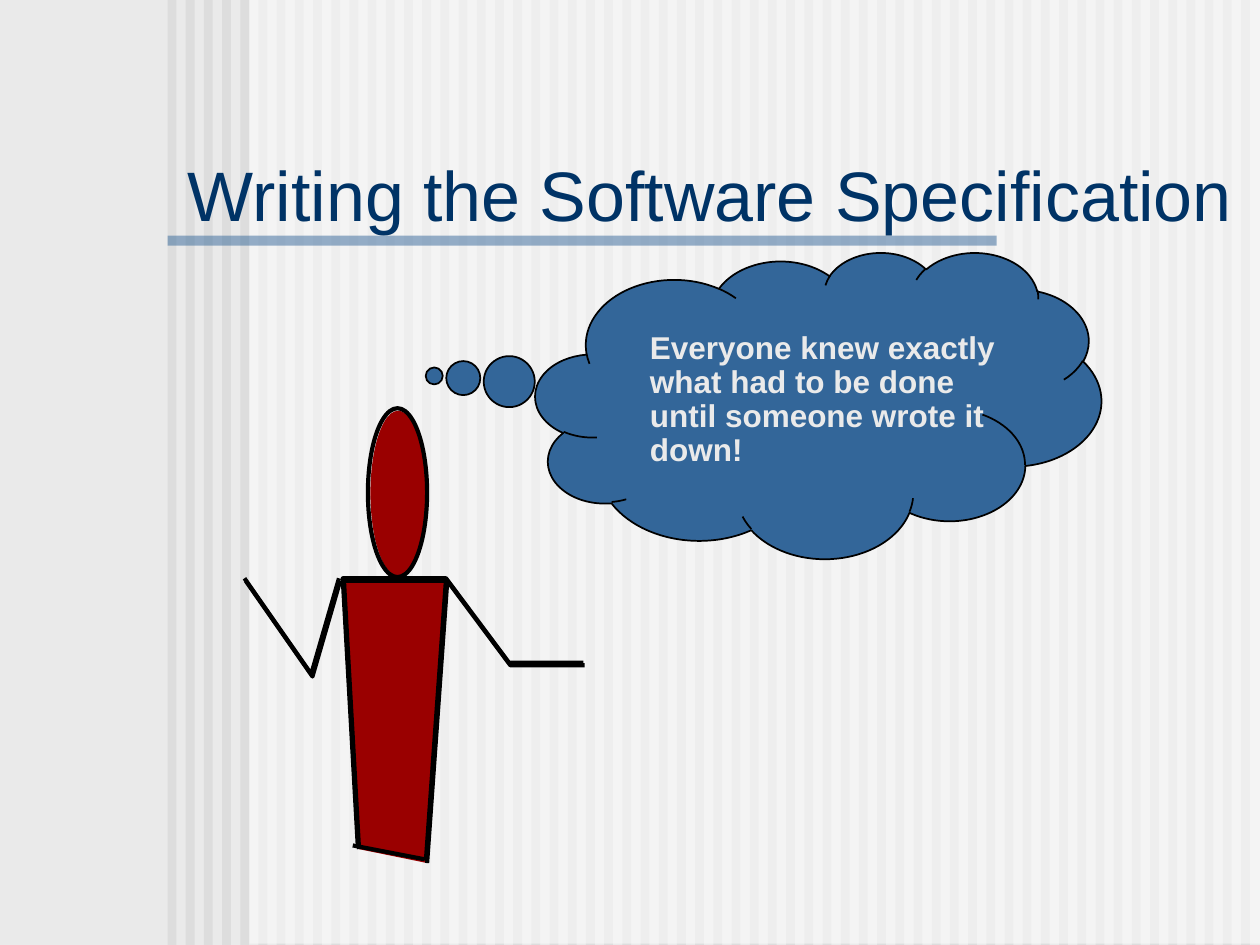
from pptx import Presentation
from pptx.dml.color import RGBColor
from pptx.enum import shapes, text
from pptx.oxml.ns import qn
from pptx.util import Inches, Pt
from lxml import etree


def color(value):
    return RGBColor.from_string(value)


def style(shape, fill=None, outline=None, width=2.38, alpha=None):
    shape.shadow.inherit = False
    if fill:
        shape.fill.solid()
        shape.fill.fore_color.rgb = color(fill)
        if alpha:
            tint = shape.fill._xPr.find(qn("a:solidFill"))[0]
            etree.SubElement(tint, qn("a:alpha"), val=str(alpha * 1000))
    else:
        shape.fill.background()
    if outline:
        shape.line.color.rgb = color(outline)
        shape.line.width = Pt(width)
    else:
        shape.line.fill.background()


prs = Presentation()
prs.slide_width, prs.slide_height = Inches(10), Inches(7.5)
slide = prs.slides.add_slide(prs.slide_layouts[6])
slide.background.fill.solid()
slide.background.fill.fore_color.rgb = color("EAEAEA")
items = slide.shapes
kinds = shapes.MSO_SHAPE

stripe_count = 60
stripe_pitch = (9.85 - 1.33) / (stripe_count - 1)
backdrop = [(1.33 + i * stripe_pitch, 0, 0.07, 7.5, "DDDDDD", None) for i in range(stripe_count)]
backdrop += [
    (1.98, -0.01, 8.02, 7.5, "FFFFFF", 50),
    (1.33, 1.87, 6.58, 0.08, "336699", 50),
]
for left, top, width, height, fill, alpha in backdrop:
    band = items.add_shape(kinds.RECTANGLE, Inches(left), Inches(top), Inches(width), Inches(height))
    style(band, fill, alpha=alpha)

cloud = items.add_shape(kinds.CLOUD_CALLOUT, Inches(4.25), Inches(2), Inches(4.49), Inches(2.43))
cloud.adjustments[0] = -0.679
cloud.adjustments[1] = -0.095
style(cloud, "336699", "000000", 1)

for left, top, width, height, fill, outline in [
    (2.94, 3.26, 0.44, 1.31, "9A0000", None),
    (2.92, 3.24, 0.47, 1.34, None, "000000"),
]:
    head = items.add_shape(kinds.OVAL, Inches(left), Inches(top), Inches(width), Inches(height))
    style(head, fill, outline)

torso = [(2.85, 6.74), (2.73, 4.61), (3.55, 4.61), (3.39, 6.85)]
left_arm = [(2.7, 4.61), (2.48, 5.37), (1.95, 4.61)]
right_arm = [(3.55, 4.61), (4.05, 5.28), (4.64, 5.28)]
strokes = [(torso, 0, 0, "9A0000", None)]
for part in (torso, left_arm, right_arm):
    strokes += [(part, 0, 0, None, "000000"), (part, -0.01, -0.02, None, "000000")]
for part, dx, dy, fill, outline in strokes:
    points = [(Inches(x + dx), Inches(y + dy)) for x, y in part]
    builder = items.build_freeform(*points[0])
    builder.add_line_segments(points[1:], close=bool(fill))
    style(builder.convert_to_shape(), fill, outline)

hem = items.add_connector(
    shapes.MSO_CONNECTOR.STRAIGHT, Inches(2.8), Inches(6.71), Inches(3.37), Inches(6.82))
hem.line.color.rgb = color("000000")
hem.line.width = Pt(2.38)
etree.SubElement(hem._element.spPr, qn("a:effectLst"))

for wording, box, inset, anchor, spacing, size, fill, bold in [
    ("Writing the Software Specification", (1.42, 1.17, 8.53, 0.73), (0.07, 0.03),
     text.MSO_ANCHOR.BOTTOM, 1.0, 40, "003366", False),
    ("Everyone knew exactly what had to be done until someone wrote it down!",
     (5.06, 2.59, 3.02, 1.18), (0.1, 0.05), text.MSO_ANCHOR.TOP, 0.9, 18, "EAEAEA", True),
]:
    frame = items.add_textbox(*[Inches(length) for length in box]).text_frame
    frame.word_wrap = True
    frame.vertical_anchor = anchor
    frame.margin_left = frame.margin_right = Inches(inset[0])
    frame.margin_top = frame.margin_bottom = Inches(inset[1])
    paragraph = frame.paragraphs[0]
    paragraph.line_spacing = spacing
    run = paragraph.add_run()
    run.text = wording
    run.font.name = "Arial"
    run.font.size = Pt(size)
    run.font.bold = bold
    run.font.color.rgb = color(fill)

prs.save("out.pptx")
